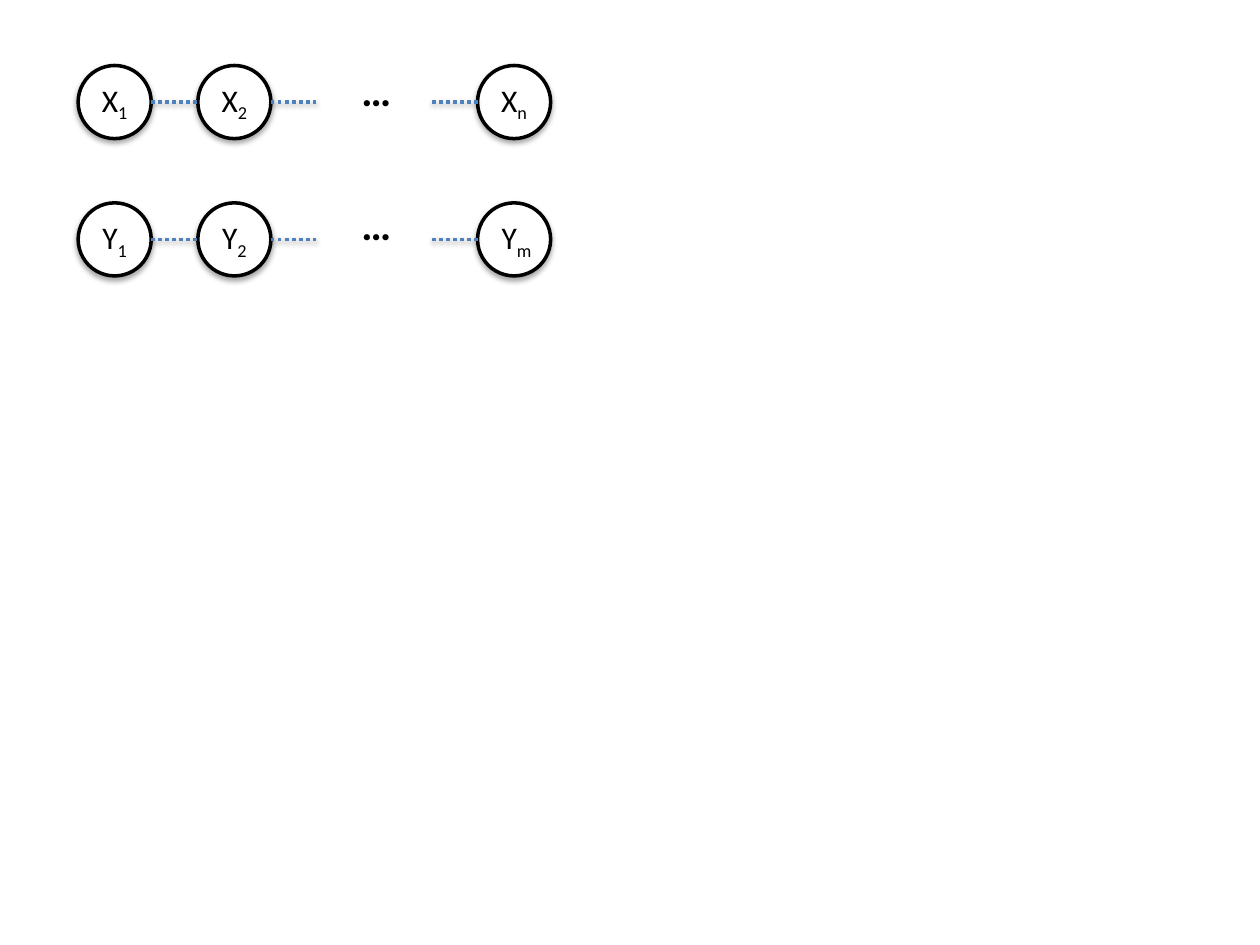
from lxml import etree
from pptx import Presentation
from pptx.dml.color import RGBColor
from pptx.enum.dml import MSO_LINE
from pptx.enum.shapes import MSO_CONNECTOR, MSO_SHAPE
from pptx.enum.text import MSO_ANCHOR, MSO_AUTO_SIZE, PP_ALIGN
from pptx.oxml.ns import qn
from pptx.util import Inches, Pt

OVAL = MSO_SHAPE.OVAL
STRAIGHT = MSO_CONNECTOR.STRAIGHT
DOTS = MSO_LINE.ROUND_DOT
MIDDLE = MSO_ANCHOR.MIDDLE
CENTER = PP_ALIGN.CENTER
GROW = MSO_AUTO_SIZE.SHAPE_TO_FIT_TEXT

CHAINS = [
    ("X", ["1", "2", "n"], 0.52, 0.46),
    ("Y", ["1", "2", "m"], 1.61, 1.53),
]
LEFTS = [0.62, 1.57, 3.79]
SIZE = 0.58
LINK = 0.36
LINKS = [LEFTS[0] + SIZE, LEFTS[1] + SIZE, LEFTS[2] - LINK]
FONT, BLACK, WHITE, BLUE = "Calibri", "000000", "FFFFFF", "4F81BD"


def color(code):
    return RGBColor.from_string(code)


def style(run, size, bold=False):
    run.font.name = FONT
    run.font.size = Pt(size)
    run.font.bold = bold
    run.font.color.rgb = color(BLACK)


def shade(shape, alpha, dist):
    props = shape._element.spPr
    for old in props.findall(qn("a:effectLst")):
        props.remove(old)
    effects = etree.SubElement(props, qn("a:effectLst"))
    outer = etree.SubElement(
        effects, qn("a:outerShdw"), blurRad=str(Pt(3.1)),
        dist=str(Pt(dist)), dir="5400000", rotWithShape="0")
    tint = etree.SubElement(outer, qn("a:srgbClr"), val=BLACK)
    etree.SubElement(tint, qn("a:alpha"), val=str(alpha * 1000))


def add_node(slide, name, sub, left, top):
    node = slide.shapes.add_shape(
        OVAL, Inches(left), Inches(top), Inches(SIZE), Inches(SIZE))
    node.fill.solid()
    node.fill.fore_color.rgb = color(WHITE)
    node.line.color.rgb = color(BLACK)
    node.line.width = Pt(2)
    shade(node, 35, 1.8)
    frame = node.text_frame
    frame.vertical_anchor = MIDDLE
    if sub == "m":
        frame.margin_left = Inches(0.08)
        frame.margin_right = Inches(0.04)
    para = frame.paragraphs[0]
    para.alignment = CENTER
    for text in (name, sub):
        run = para.add_run()
        run.text = text
        style(run, 18)
    run.font._element.set("baseline", "-25000")


def add_link(slide, left, y):
    link = slide.shapes.add_connector(
        STRAIGHT, Inches(left), Inches(y), Inches(left + LINK), Inches(y))
    link.line.color.rgb = color(BLUE)
    link.line.width = Pt(2)
    link.line.dash_style = DOTS
    shade(link, 38, 1.6)


def add_dots(slide, top):
    box = slide.shapes.add_textbox(
        Inches(2.77), Inches(top), Inches(0.44), Inches(0.5))
    frame = box.text_frame
    frame.word_wrap = False
    frame.auto_size = GROW
    frame.text = "…"
    style(frame.paragraphs[0].runs[0], 24, True)


deck = Presentation()
deck.slide_width, deck.slide_height = Inches(10), Inches(7.5)
slide = deck.slides.add_slide(deck.slide_layouts[6])

for name, subs, top, dots in CHAINS:
    for sub, left in zip(subs, LEFTS):
        add_node(slide, name, sub, left, top)
    for left in LINKS:
        add_link(slide, left, top + SIZE / 2)
    add_dots(slide, dots)

deck.save("out.pptx")
